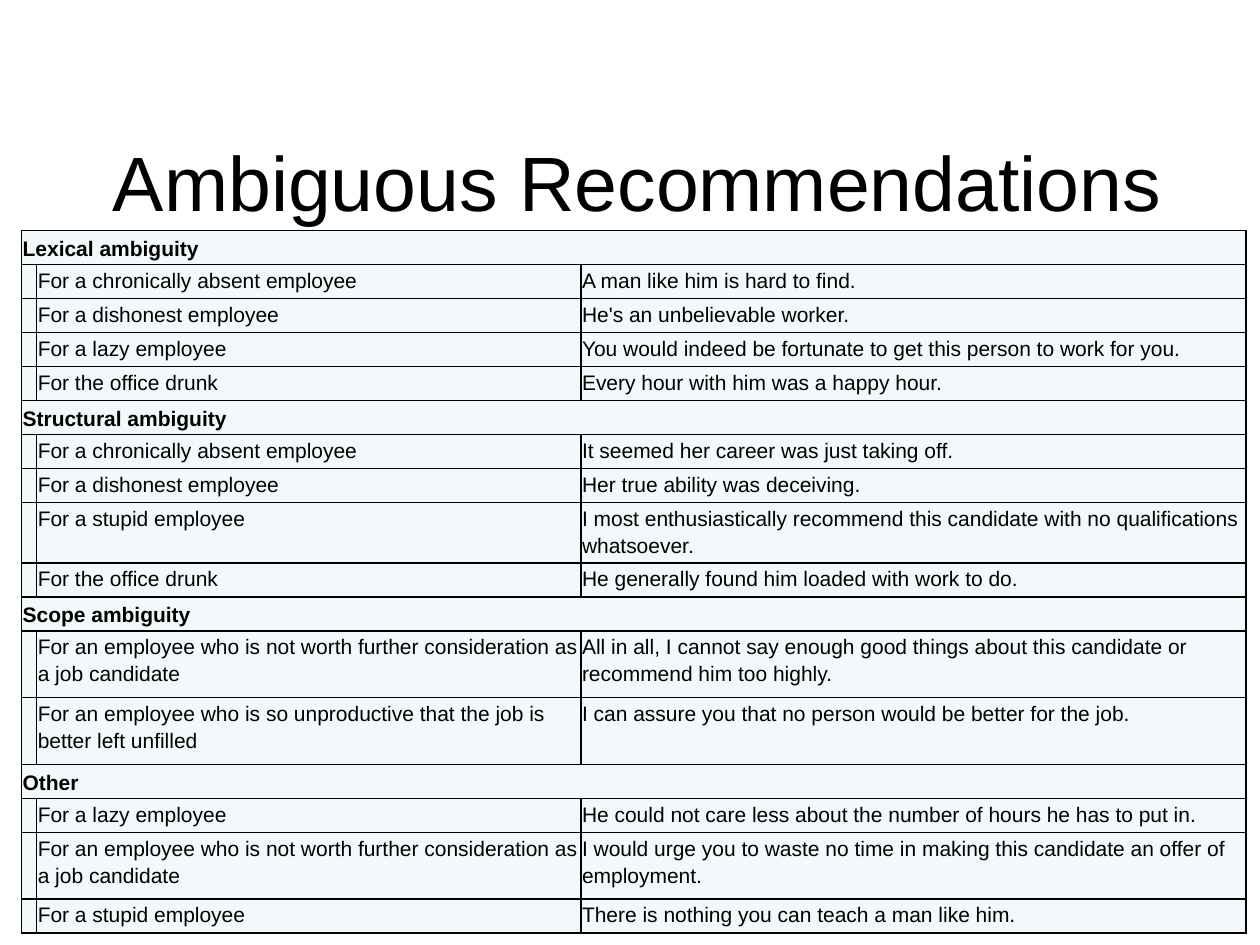
from lxml.etree import SubElement
from pptx import Presentation
from pptx.dml.color import RGBColor
from pptx.enum.text import MSO_ANCHOR as Anchor, PP_ALIGN as Align
from pptx.oxml.ns import qn
from pptx.util import Inches, Pt

TITLE = "Ambiguous Recommendations"
UNWORTHY = ("For an employee who is not worth further consideration "
            "as a job candidate")
SECTIONS = {
    "Lexical ambiguity": [
        ("For a chronically absent employee", "A man like him is hard to find."),
        ("For a dishonest employee", "He's an unbelievable worker."),
        ("For a lazy employee",
         "You would indeed be fortunate to get this person to work for you."),
        ("For the office drunk", "Every hour with him was a happy hour."),
    ],
    "Structural ambiguity": [
        ("For a chronically absent employee",
         "It seemed her career was just taking off."),
        ("For a dishonest employee", "Her true ability was deceiving."),
        ("For a stupid employee",
         "I most enthusiastically recommend this candidate with no "
         "qualifications whatsoever."),
        ("For the office drunk",
         "He generally found him loaded with work to do."),
    ],
    "Scope ambiguity": [
        (UNWORTHY,
         "All in all, I cannot say enough good things about this candidate or "
         "recommend him too highly."),
        ("For an employee who is so unproductive that the job is better left "
         "unfilled",
         "I can assure you that no person would be better for the job."),
    ],
    "Other": [
        ("For a lazy employee",
         "He could not care less about the number of hours he has to put in."),
        (UNWORTHY,
         "I would urge you to waste no time in making this candidate an offer "
         "of employment."),
        ("For a stupid employee",
         "There is nothing you can teach a man like him."),
    ],
}

BLACK = RGBColor(0x00, 0x00, 0x00)
PALE = RGBColor(0xF3, 0xF9, 0xFA)
FONT = "Arial"
COLUMNS = (0.12, 4.32, 5.28)
ROW, TALL_ROW = 0.27, 0.53
WRAP_AT = 55  # characters that fit on one line of the middle column
MARGIN = Inches(0.01)


def write(p, text, size, bold=False):
    r = p.add_run()
    r.text = text
    for name, value in dict(name=FONT, size=Pt(size), bold=bold).items():
        setattr(r.font, name, value)
    r.font.color.rgb = BLACK


def style_cell(cell):
    for side in ("left", "right", "top", "bottom"):
        setattr(cell, f"margin_{side}", MARGIN)
    tc_pr = cell._tc.get_or_add_tcPr()
    for tag in ("a:lnL", "a:lnR", "a:lnT", "a:lnB"):
        ln = SubElement(tc_pr, qn(tag), w=str(Pt(1)))
        fill = SubElement(ln, qn("a:solidFill"))
        SubElement(fill, qn("a:srgbClr"), val=str(BLACK))
    cell.fill.solid()
    cell.fill.fore_color.rgb = PALE


def fill_cell(cell, text, bold=False):
    p = cell.text_frame.paragraphs[0]
    p.line_spacing = 1.15
    if text:
        write(p, text, 12, bold)
    else:  # keeps an empty cell from stretching its row
        SubElement(p._p, qn("a:endParaRPr"), sz="1200")


prs = Presentation()
prs.slide_width, prs.slide_height = Inches(10), Inches(7.5)
s = prs.slides.add_slide(prs.slide_layouts[6])

# Title
sp = s.shapes.add_textbox(Inches(0.45), Inches(0.92), Inches(9.22), Inches(1.02))
tf = sp.text_frame
tf.word_wrap = True
tf.vertical_anchor = Anchor.MIDDLE
tf.paragraphs[0].alignment = Align.CENTER
write(tf.paragraphs[0], TITLE, 44)

# Table: a heading row per section, then its indented pairs
rows = []
for heading, pairs in SECTIONS.items():
    rows.append((heading, "", ""))
    rows.extend(("", *pair) for pair in pairs)
heights = [TALL_ROW if len(row[1]) > WRAP_AT else ROW for row in rows]

frame = s.shapes.add_table(len(rows), len(COLUMNS), Inches(0.17), Inches(1.83),
                           Inches(sum(COLUMNS)), Inches(sum(heights)))
table = frame.table
table.first_row = table.horz_banding = False
for column, width in zip(table.columns, COLUMNS):
    column.width = Inches(width)

for i, (row, height) in enumerate(zip(rows, heights)):
    table.rows[i].height = Inches(height)
    is_heading = bool(row[0])
    for j, text in enumerate(row):
        style_cell(table.cell(i, j))
        fill_cell(table.cell(i, j), text, is_heading)
    if is_heading:
        table.cell(i, 0).merge(table.cell(i, len(COLUMNS) - 1))
        table.cell(i, 0).vertical_anchor = Anchor.MIDDLE

prs.save("out.pptx")
